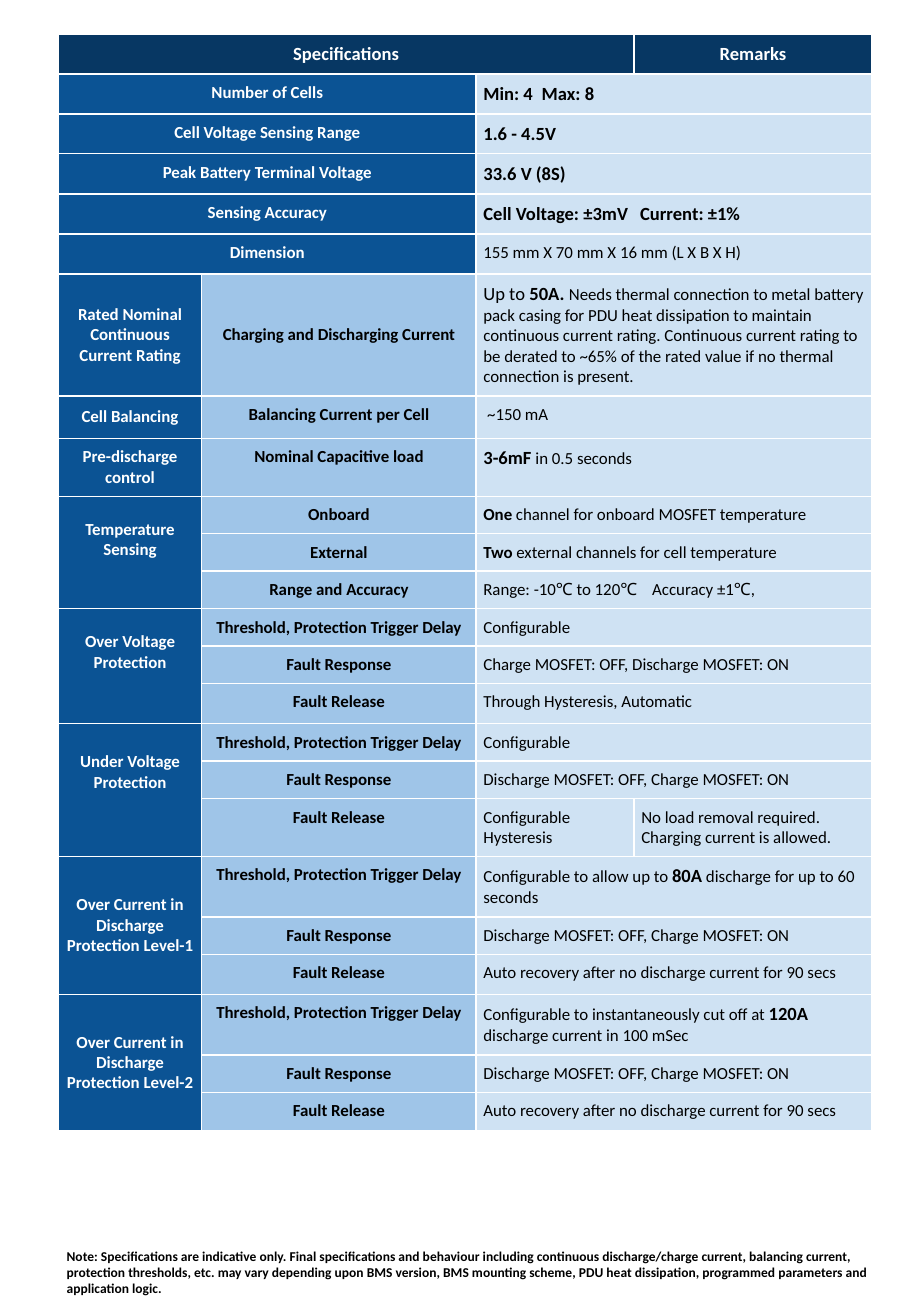
import pptx
import pptx.util
import pptx.dml.color
import pptx.enum.text
import pptx.oxml

Inches, Pt = pptx.util.Inches, pptx.util.Pt
MID, TOP = pptx.enum.text.MSO_ANCHOR.MIDDLE, pptx.enum.text.MSO_ANCHOR.TOP
NAVY, BLUE, SKY, PALE = "073763", "0B5394", "9FC5E8", "CFE2F3"
WHITE, BLACK = "FFFFFF", "000000"
NS = 'xmlns:a="http://schemas.openxmlformats.org/drawingml/2006/main"'

COLS = [1.18, 2.26, 1.3, 1.96]
ROWS = [0.32, 0.32, 0.32, 0.33, 0.33, 0.33, 1, 0.35, 0.47, 0.3, 0.3, 0.3,
        0.3, 0.3, 0.33, 0.3, 0.3, 0.47, 0.49, 0.3, 0.33, 0.49, 0.3, 0.32]

# A run is (text, size, bold); a plain string is 10 pt regular
# Each basic row: label, runs, tab stop
BASICS = [
    ("Number of Cells", [("Min: 4\tMax: 8", 11, True)], 0.48),
    ("Cell Voltage Sensing Range", [("1.6 - 4.5V", 11, True)], None),
    ("Peak Battery Terminal Voltage", [("33.6 V (8S)", 11, True)], None),
    ("Sensing Accuracy",
     [("Cell Voltage: ±3mV\tCurrent: ±1%", 11, True)], 1.29),
    ("Dimension", ["155 mm X 70 mm X 16 mm (L X B X H)"], None),
]

DELAY = "Threshold, Protection Trigger Delay"
REPLY, FREE = "Fault Response", "Fault Release"
CUT = (REPLY, ["Discharge MOSFET: OFF, Charge MOSFET: ON"])
AUTO = (FREE, ["Auto recovery after no discharge current for 90 secs"])

# Each group: label, top margin (None for centred), rows of label and runs
GROUPS = [
    ("Rated Nominal Continuous Current Rating", None, [
        ("Charging and Discharging Current", [
            ("Up to ", 11, False), ("50A. ", 11, True),
            "Needs thermal connection to metal battery pack casing for PDU "
            "heat dissipation to maintain continuous current rating. "
            "Continuous current rating to be derated to ~65% of the rated "
            "value if no thermal connection is present."])]),
    ("Cell Balancing", None, [("Balancing Current per Cell", [" ~150 mA"])]),
    ("Pre-discharge control", 0.07, [
        ("Nominal Capacitive load", [("3-6mF", 11, True), " in 0.5 seconds"])]),
    ("Temperature Sensing", 0.19, [
        ("Onboard", [("One", 10, True),
                     " channel for onboard MOSFET temperature"]),
        ("External", [("Two", 10, True),
                      " external channels for cell temperature"]),
        ("Range and Accuracy",
         ["Range: -10℃ to 120℃\tAccuracy ±1℃,"], 1.39)]),
    ("Over Voltage Protection", 0.19, [
        (DELAY, ["Configurable"]),
        (REPLY, ["Charge MOSFET: OFF, Discharge MOSFET: ON"]),
        (FREE, ["Through Hysteresis, Automatic"])]),
    ("Under Voltage Protection", 0.23, [
        (DELAY, ["Configurable"]), CUT,
        (FREE, ["Configurable Hysteresis"], None,
         ["No load removal required. Charging current is allowed."])]),
    ("Over Current in Discharge Protection Level-1", None, [
        (DELAY, ["Configurable to allow up to ", ("80A", 11, True),
                 " discharge for up to 60 seconds"]), CUT, AUTO]),
    ("Over Current in Discharge Protection Level-2", None, [
        (DELAY, ["Configurable to instantaneously cut off at ",
                 ("120A", 11, True), " discharge current in 100 mSec"]),
        CUT, AUTO]),
]
NOTE = ("Note: Specifications are indicative only. Final specifications and "
        "behaviour including continuous discharge/charge current, balancing "
        "current, protection thresholds, etc. may vary depending upon BMS "
        "version, BMS mounting scheme, PDU heat dissipation, programmed "
        "parameters and application logic.")


def paint(part, tone):
    """Colour a fill or a font."""
    if hasattr(part, "solid"):
        part.solid()
        part.fore_color.rgb = pptx.dml.color.RGBColor.from_string(tone)
    else:
        part.color.rgb = pptx.dml.color.RGBColor.from_string(tone)


def style(run, size, bold, tone):
    run.font.name = "Calibri"
    run.font.size = Pt(size)
    run.font.bold = bold
    paint(run.font, tone)


def write(cell, runs, fill, tone=BLACK, mid=False, top=0.07, tab=None):
    """Fill a cell with a list of runs."""
    paint(cell.fill, fill)
    cell.margin_left = cell.margin_right = Inches(0.06)
    cell.margin_top, cell.margin_bottom = Inches(top), Inches(0.07)
    cell.vertical_anchor = MID if mid else TOP
    para = cell.text_frame.paragraphs[0]
    if tab:
        para._p.get_or_add_pPr().append(pptx.oxml.parse_xml(
            f'<a:tabLst {NS}><a:tab pos="{Inches(tab)}" algn="l"/></a:tabLst>'))
    for item in runs:
        text, size, bold = (item, 10, False) if isinstance(item, str) else item
        run = para.add_run()
        run.text = text
        style(run, size, bold, tone)


def label(cell, text, fill, tone=WHITE, size=10, **place):
    """Write a bold centred label."""
    write(cell, [(text, size, True)], fill, tone, **place)
    cell.text_frame.paragraphs[0].alignment = pptx.enum.text.PP_ALIGN.CENTER


def frame(cell):
    """Draw thin white borders."""
    props = cell._tc.get_or_add_tcPr()
    for spot, side in enumerate("LRTB"):
        props.insert(spot, pptx.oxml.parse_xml(
            f'<a:ln{side} {NS} w="12700"><a:solidFill><a:srgbClr val="{WHITE}"/>'
            f'</a:solidFill></a:ln{side}>'))


def specs(slide, x, y, wide, high):
    """Build the table of specifications."""
    grid = slide.shapes.add_table(
        len(ROWS), len(COLS), Inches(x), Inches(y), Inches(wide),
        Inches(high)).table
    grid.first_row = grid.horz_banding = False
    for col, size in zip(grid.columns, COLS):
        col.width = Inches(size)
    for row, size in zip(grid.rows, ROWS):
        row.height = Inches(size)
    for cell in grid.iter_cells():
        paint(cell.fill, PALE)
        frame(cell)

    # Header
    grid.cell(0, 0).merge(grid.cell(0, 2))
    label(grid.cell(0, 0), "Specifications", NAVY, size=11)
    label(grid.cell(0, 3), "Remarks", NAVY, size=11)

    # Basic rows
    for row, (name, runs, tab) in enumerate(BASICS, 1):
        for col in (0, 2):
            grid.cell(row, col).merge(grid.cell(row, col + 1))
        label(grid.cell(row, 0), name, BLUE)
        write(grid.cell(row, 2), runs, PALE, tab=tab)

    # Grouped rows
    row = len(BASICS) + 1
    for name, top, lines in GROUPS:
        if len(lines) > 1:
            grid.cell(row, 0).merge(grid.cell(row + len(lines) - 1, 0))
        label(grid.cell(row, 0), name, BLUE, mid=top is None, top=top or 0.07)
        for part, runs, *more in lines:
            tab, remark = (more + [None, None])[:2]
            label(grid.cell(row, 1), part, SKY, BLACK, mid=ROWS[row] >= 1)
            if remark:
                write(grid.cell(row, 3), remark, PALE)
            else:
                grid.cell(row, 2).merge(grid.cell(row, 3))
            write(grid.cell(row, 2), runs, PALE, tab=tab)
            row += 1


def note(slide, x, y, wide, high):
    """Place the note below the table."""
    box = slide.shapes.add_textbox(
        Inches(x), Inches(y), Inches(wide), Inches(high))
    box.text_frame.word_wrap = True
    box.text_frame.text = NOTE
    style(box.text_frame.paragraphs[0].runs[0], 8, True, BLACK)


def main():
    deck = pptx.Presentation()
    deck.slide_width, deck.slide_height = Inches(7.5), Inches(10.83)
    slide = deck.slides.add_slide(deck.slide_layouts[6])
    specs(slide, 0.48, 0.28, sum(COLS), sum(ROWS))
    note(slide, 0.45, 10.22, 7.05, 0.5)
    deck.save("out.pptx")


if __name__ == "__main__":
    main()
